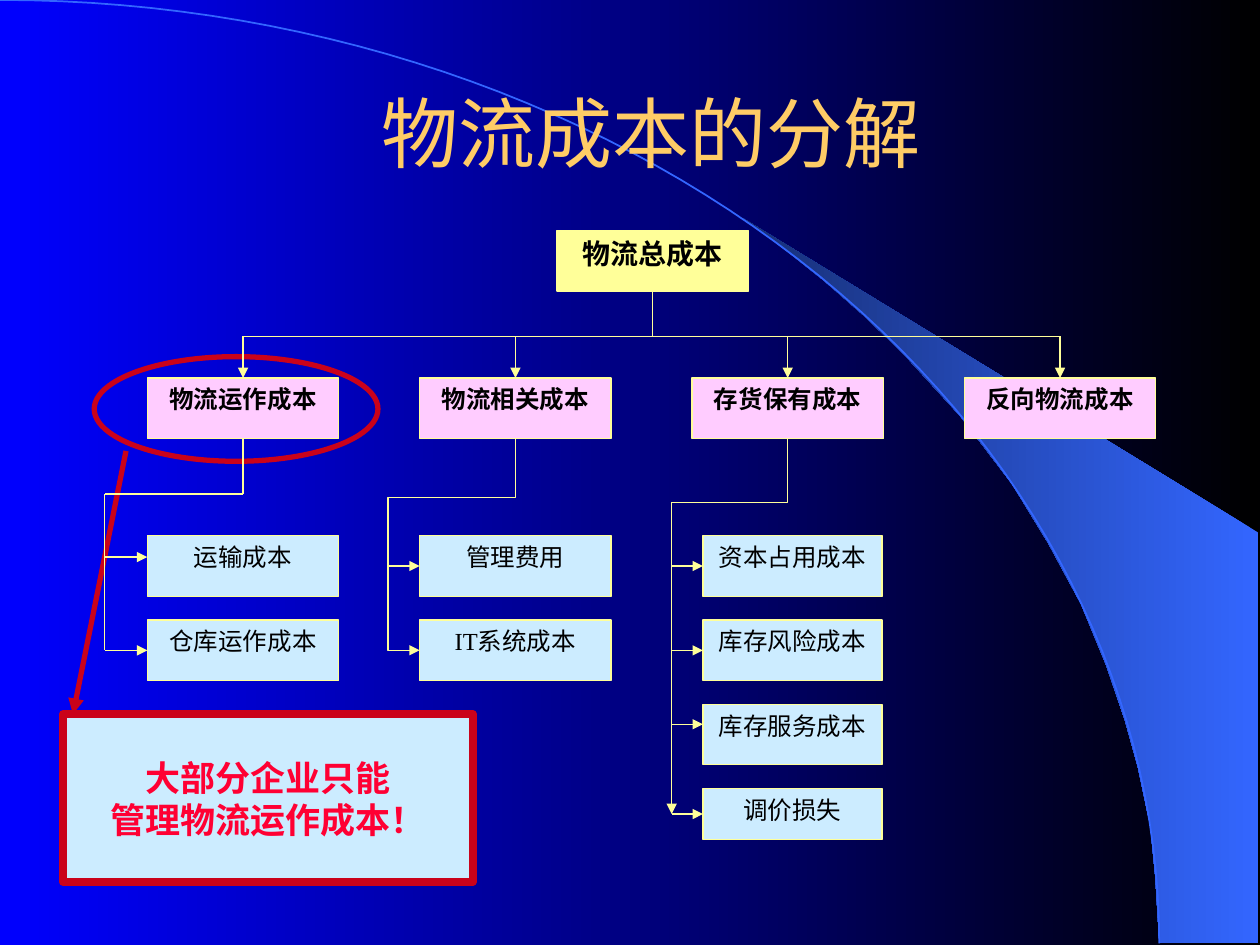
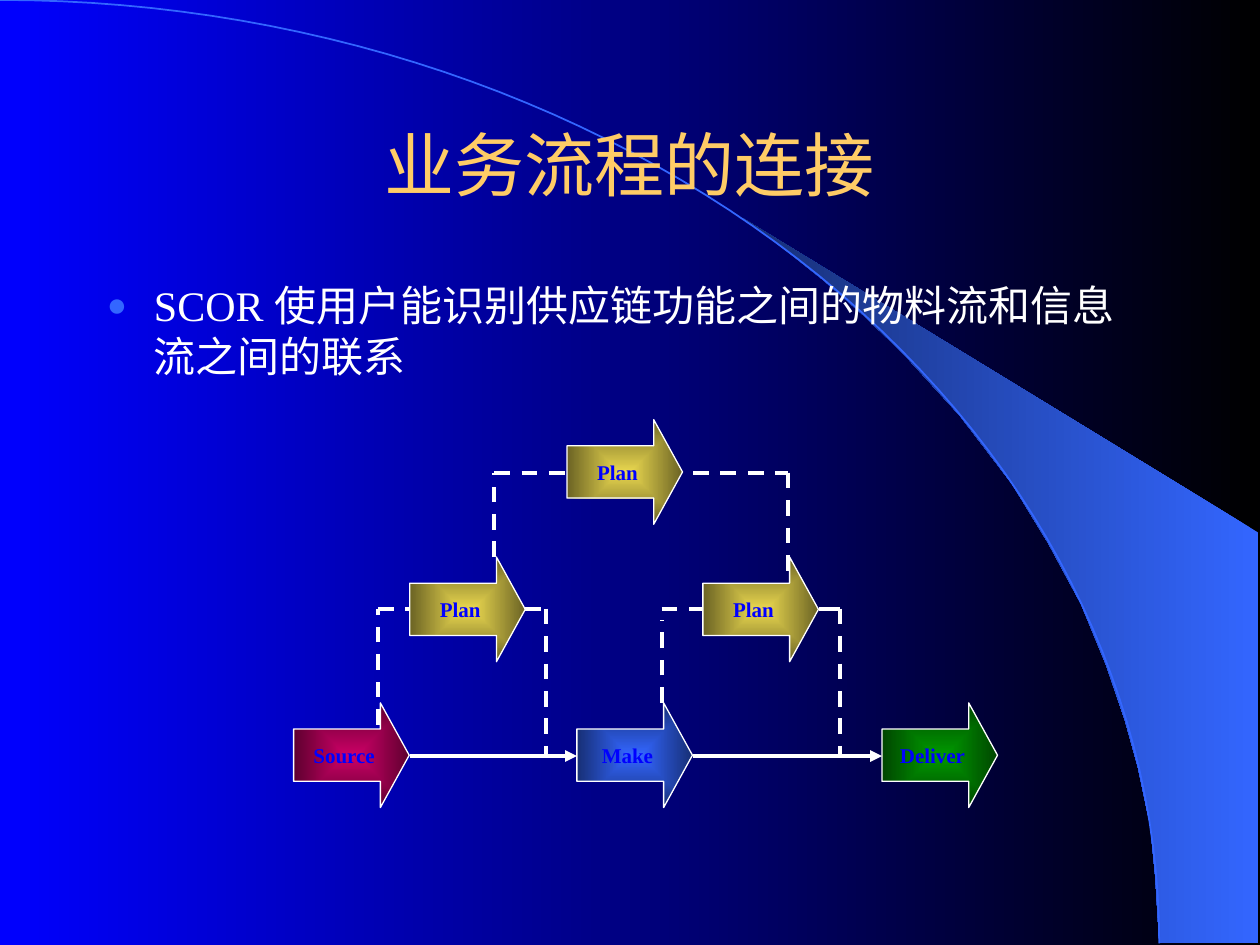
import math

from lxml import etree
from pptx import Presentation, util as u
from pptx.dml.color import RGBColor
from pptx.enum import dml, shapes, text
from pptx.oxml import ns

GOLD, WHITE, BLACK = "FFCC66", "FFFFFF", "000000"
BLUE, DEEP, NAVY = "0000FF", "3366FF", "172F75"
YELLOW, PINK, PALE = "FFFF99", "FFCCFF", "CCECFF"
RED, ALERT = "CA021A", "FF0033"
PLAN = ("E9D74F", "6B6324")
SERIF = "Times New Roman"
KIND = shapes.MSO_SHAPE
WIDE, TALL = 3.86, 1.22
GLOW = [(23.37, 19), (25.37, 19.02), (25.37, 10.74), (14.96, 4.39), (15.85, 5.05),
        (16.59, 5.64), (17.4, 6.35), (18.19, 7.11), (19.35, 8.38), (20.4, 9.75),
        (21.13, 10.95), (21.79, 12.17), (22.3, 13.41), (22.68, 14.53),
        (22.94, 15.47), (23.19, 16.66), (23.29, 17.68)]


def rgb(code):
    return RGBColor.from_string(code)


def cms(*vals):
    return [u.Cm(v) for v in vals]


def put(obj, vals):
    for key, val in vals.items():
        setattr(obj, key, val)


def node(parent, tag, **attrs):
    return etree.SubElement(parent, ns.qn(tag), attrs)


def blend(fill, pair, angle=180):
    fill.gradient()
    fill.gradient_angle = angle
    for stop, code in zip(fill.gradient_stops, pair):
        stop.color.rgb = rgb(code)


def radiate(shape, pair):
    blend(shape.fill, pair)
    grad = shape.element.spPr.find(ns.qn("a:gradFill"))
    grad.remove(grad.find(ns.qn("a:lin")))
    ray = node(grad, "a:path", path="rect")
    node(ray, "a:fillToRect", l="50000", t="50000", r="50000", b="50000")


def stroke(line, code, width):
    line.color.rgb = rgb(code)
    line.width = u.Pt(width)


def write(frame, words, size, code, face=SERIF, bold=False, align="CENTER",
          anchor="TOP", wrap=True):
    frame.text = words
    put(frame, {"word_wrap": wrap, "auto_size": text.MSO_AUTO_SIZE.NONE,
                "vertical_anchor": getattr(text.MSO_ANCHOR, anchor)})
    for para in frame.paragraphs:
        put(para, {"alignment": getattr(text.PP_ALIGN, align), "space_before": u.Pt(0)})
        for run in para.runs:
            put(run.font, {"name": face, "size": u.Pt(size), "bold": bold})
            run.font.color.rgb = rgb(code)


def place(shape, box):
    put(shape, dict(zip(("left", "top", "width", "height"), cms(*box))))


def title(slide, words, box, size):
    head = slide.shapes.title
    place(head, box)
    write(head.text_frame, words, size, GOLD, "Arial", anchor="MIDDLE")


def bullet(slide, words, box):
    body = slide.placeholders[1]
    place(body, box)
    write(body.text_frame, words, 24, WHITE, align="LEFT")
    props = body.text_frame.paragraphs[0]._p.get_or_add_pPr()
    indent = int(u.Cm(0.95))
    put_xml = {"marL": indent, "indent": -indent}
    for key, val in put_xml.items():
        props.set(key, str(val))
    node(node(props, "a:buClr"), "a:srgbClr", val=DEEP)
    node(props, "a:buSzPct", val="80000")
    node(props, "a:buChar", char="●")


def shape(slide, kind, box, line, width):
    item = slide.shapes.add_shape(kind, *cms(*box))
    item.shadow.inherit = False
    stroke(item.line, line, width)
    return item


def block(slide, words, box, fill, size=14, bold=False):
    item = shape(slide, KIND.RECTANGLE, box, YELLOW, 0.75)
    item.fill.solid()
    item.fill.fore_color.rgb = rgb(fill)
    write(item.text_frame, words, size, BLACK, bold=bold)
    return item


def finish(wire, code, width, tip, dash=False):
    stroke(wire.line, code, width)
    if dash:
        wire.line.dash_style = dml.MSO_LINE.DASH
    if tip:
        node(wire.element.spPr.find(ns.qn("a:ln")), "a:tailEnd", type="triangle")
    node(wire.element.spPr, "a:effectLst")


def wire(slide, start, end, code=YELLOW, width=0.75, tip=False, dash=False,
         begin=None, stop=None):
    item = slide.shapes.add_connector(shapes.MSO_CONNECTOR.STRAIGHT, *cms(*start, *end))
    if begin:
        item.begin_connect(*begin)
    if stop:
        item.end_connect(*stop)
    finish(item, code, width, tip, dash)


def elbow(slide, start, end, preset, *bends):
    (x1, y1), (x2, y2) = start, end
    midx, midy = (x1 + x2) / 2, (y1 + y2) / 2
    run, rise = (y2 - y1) / 2, (x1 - x2) / 2
    item = slide.shapes.add_connector(
        shapes.MSO_CONNECTOR.ELBOW,
        *cms(midx - run, midy - rise, midx + run, midy + rise))
    item.element.spPr.xfrm.set("rot", "5400000")
    geom = item.element.spPr.find(ns.qn("a:prstGeom"))
    geom.set("prst", preset)
    guides = geom.find(ns.qn("a:avLst"))
    for num, bend in enumerate(bends, 1):
        node(guides, "a:gd", name=f"adj{num}", fmla=f"val {round(bend * 100000)}")
    finish(item, YELLOW, 0.75, True)


def outline(slide, points, close):
    first, *rest = [tuple(cms(*point)) for point in points]
    pen = slide.shapes.build_freeform(*first)
    pen.add_line_segments(rest, close=close)
    item = pen.convert_to_shape()
    item.shadow.inherit = False
    return item


def backdrop(prs, slide):
    master = prs.slide_master
    blend(master.background.fill, (BLACK, BLUE))
    glow = outline(slide, GLOW, True)
    blend(glow.fill, (DEEP, NAVY))
    glow.line.fill.background()
    turns = [math.radians(1.5 * step) for step in range(61)]
    arc = outline(slide, [(23.37 * math.sin(t), 19.02 * (1 - math.cos(t)))
                          for t in turns], False)
    arc.fill.background()
    stroke(arc.line, DEEP, 1)
    for num, item in enumerate((glow, arc), 20):
        item.element.nvSpPr.cNvPr.set("id", str(num))
        master.element.cSld.spTree.append(item.element)


def costs(slide):
    title(slide, "物流成本的分解", (2.34, 1.07, 21.59, 3.18), 44)
    ring = shape(slide, KIND.OVAL, (1.9, 7.19, 5.72, 2.11), RED, 3)
    ring.fill.background()
    wire(slide, (2.54, 9.09), (1.47, 14.4), RED, 3, tip=True)
    note = shape(slide, KIND.RECTANGLE, (1.27, 14.4, 8.26, 3.38), RED, 4.5)
    note.fill.solid()
    note.fill.fore_color.rgb = rgb(PALE)
    write(note.text_frame, "大部分企业只能\n管理物流运作成本！", 20, ALERT,
          bold=True, anchor="MIDDLE", wrap=False)

    root = block(slide, "物流总成本", (11.23, 4.65, WIDE, TALL), YELLOW, 16, True)
    bar, top = 6.78, 7.62
    names = ["物流运作成本", "物流相关成本", "存货保有成本", "反向物流成本"]
    lefts = [2.97 + 5.49 * num for num in range(len(names))]
    mids = [left + WIDE / 2 for left in lefts]
    heads = [block(slide, name, (left, top, WIDE, TALL), PINK, bold=True)
             for name, left in zip(names, lefts)]
    wire(slide, (13.16, 5.87), (13.16, bar), begin=(root, 2))
    wire(slide, (mids[0], bar), (mids[-1], bar))
    for mid, head in zip(mids, heads):
        wire(slide, (mid, bar), (mid, top), tip=True, stop=(head, 0))

    base, first, step = top + TALL, 10.8, 1.7
    groups = [
        (lefts[0], WIDE, 2.11, [("运输成本", 11.23), ("仓库运作成本", None)]),
        (lefts[1], WIDE, 7.82, [("管理费用", None), ("IT系统成本", "bent")]),
        (14.17, 3.61, 13.54, [("资本占用成本", None), ("库存风险成本", None),
                              ("库存服务成本", 14.6), ("调价损失", None)]),
    ]
    for left, width, rail, rows in groups:
        for num, (name, level) in enumerate(rows):
            y = first + step * num
            high = 1.02 if num == 3 else TALL
            kid = block(slide, name, (left, y, width, high), PALE)
            if level == "bent":
                continue
            at = level or y + high / 2
            wire(slide, (rail, at), (left, at), tip=True,
                 stop=None if level else (kid, 1))

    second, last = first + step + TALL / 2, first + 3 * step + 0.51
    turn = 9.96
    wire(slide, (mids[0], base), (mids[0], turn), begin=(heads[0], 2))
    wire(slide, (mids[0], turn), (2.11, turn))
    wire(slide, (2.11, turn), (2.11, second))
    elbow(slide, (mids[1], base), (lefts[1], second), "bentConnector4", 0.28, 1.33)
    elbow(slide, (mids[2], base), (13.54, last), "bentConnector3", 0.17)


def links(slide):
    title(slide, "业务流程的连接", (1.9, 1.7, 21.59, 3.18), 40)
    bullet(slide, "SCOR 使用户能识别供应链功能之间的物料流和信息流之间的联系",
           (1.9, 5.51, 21.59, 11.43))
    steps = [("Source", 5.92, 14.17, ("CC0066", "5E002F")),
             ("Make", 11.63, 14.17, (DEEP, NAVY)),
             ("Deliver", 17.78, 14.17, ("009900", "004600")),
             ("Plan", 14.17, 11.23, PLAN),
             ("Plan", 8.26, 11.23, PLAN),
             ("Plan", 11.43, 8.46, PLAN)]
    for name, left, top, pair in steps:
        item = shape(slide, KIND.RIGHT_ARROW, (left, top, 2.33, 2.11), WHITE, 0.75)
        item.adjustments[0], item.adjustments[1] = 0.5, 0.275
        radiate(item, pair)
        write(item.text_frame, name, 12, BLUE, bold=True, anchor="MIDDLE", wrap=False)

    low, mid, high = 15.24, 12.27, 9.53
    for start, end in [(8.26, 11.63), (13.97, 17.78)]:
        wire(slide, (start, low), (end, low), WHITE, 2.25, tip=True)
    wire(slide, (16.51, mid), (16.93, mid), WHITE, 2.25)
    routes = [[(7.62, 14.61), (7.62, mid), (8.26, mid)],
              [(10.59, mid), (11, mid), (11, low)],
              [(9.96, 11.23), (9.96, high), (11.43, high)],
              [(13.34, 14.17), (13.34, 12.5)],
              [(13.34, mid), (14.17, mid)],
              [(13.97, high), (15.88, high), (15.88, 11.63)],
              [(16.93, mid), (16.93, low)]]
    for route in routes:
        for start, end in zip(route, route[1:]):
            wire(slide, start, end, WHITE, 2.25, dash=True)


def main():
    prs = Presentation()
    prs.slide_width, prs.slide_height = cms(25.4, 19.05)
    tree = prs.slides.add_slide(prs.slide_layouts[5])
    backdrop(prs, tree)
    costs(tree)
    links(prs.slides.add_slide(prs.slide_layouts[1]))
    prs.save("out.pptx")


if __name__ == "__main__":
    main()
